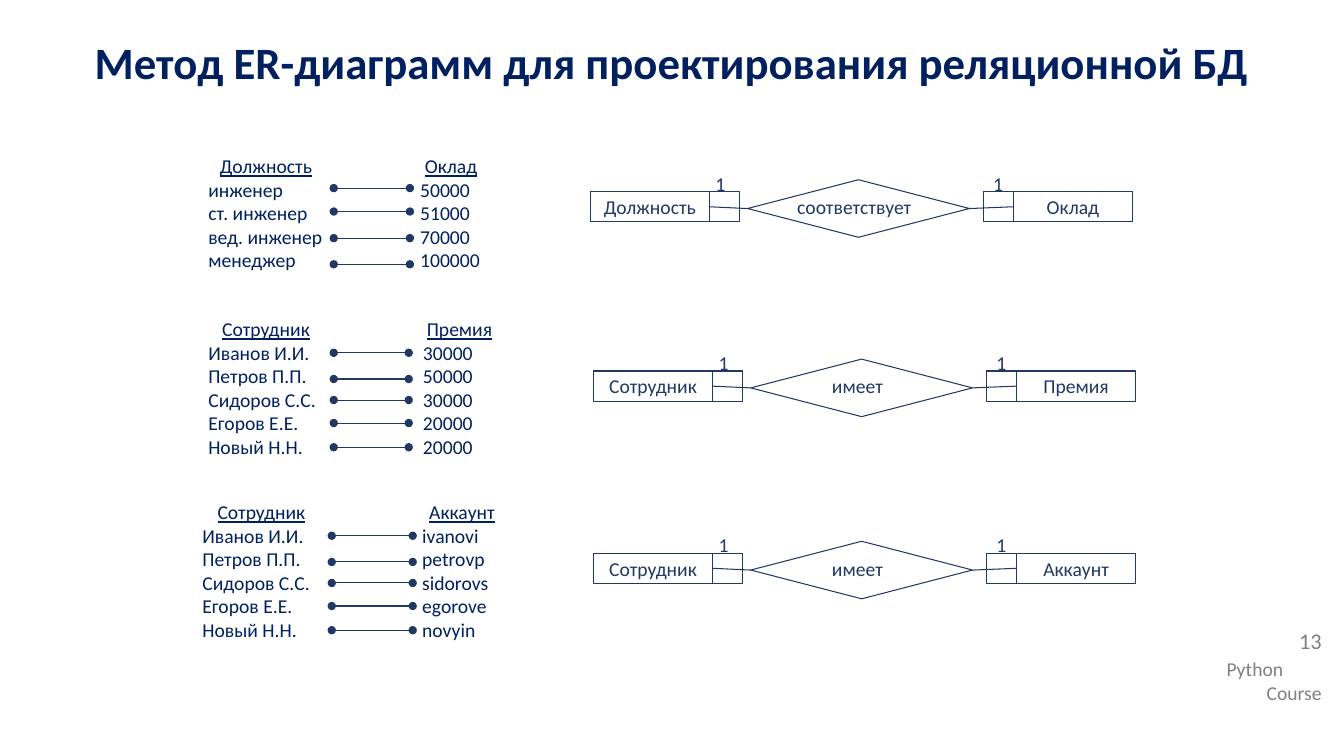
from dataclasses import dataclass

from lxml import etree
from pptx import Presentation
from pptx.dml.color import RGBColor
from pptx.enum.shapes import MSO_CONNECTOR, MSO_SHAPE
from pptx.enum.text import MSO_ANCHOR, PP_ALIGN
from pptx.oxml.ns import qn
from pptx.shapes.autoshape import Shape
from pptx.shapes.connector import Connector
from pptx.slide import Slide
from pptx.util import Cm, Pt

RECTANGLE = MSO_SHAPE.RECTANGLE
DIAMOND = MSO_SHAPE.DIAMOND
STRAIGHT = MSO_CONNECTOR.STRAIGHT
LEFT, CENTER, RIGHT = PP_ALIGN.LEFT, PP_ALIGN.CENTER, PP_ALIGN.RIGHT
TOP, MIDDLE = MSO_ANCHOR.TOP, MSO_ANCHOR.MIDDLE
LEFT_SIDE, RIGHT_SIDE = 1, 3

FONT = "Calibri"
COLORS = {"title": "002060", "line": "203864", "footer": "808080", "fill": "FFFFFF"}


@dataclass
class Box:
    left: float
    top: float
    width: float
    height: float


@dataclass
class Column:
    left: float
    width: float
    header: str
    values: list[str]


@dataclass
class Relation:
    top: float
    height: float
    source: Column
    target: Column
    link_start: float
    link_end: float
    link_offsets: tuple[float, ...]
    diagram_left: float
    diagram_top: float
    verb: str


EMPLOYEES = ["Иванов И.И.", "Петров П.П.", "Сидоров С.С.", "Егоров Е.Е.", "Новый Н.Н."]
FIVE_LINKS = (1.02, 1.68, 2.21, 2.79, 3.4)
RELATIONS = [
    Relation(
        3.76, 3.4,
        Column(5, 3.41, "Должность", ["инженер", "ст. инженер", "вед. инженер", "менеджер"]),
        Column(10.34, 2.06, "Оклад", ["50000", "51000", "70000", "100000"]),
        8.41, 10.33, (0.98, 1.57, 2.24, 2.9), 14.88, 4.83, "соответствует",
    ),
    Relation(
        7.87, 3.75,
        Column(5, 3.41, "Сотрудник", EMPLOYEES),
        Column(10.41, 2.34, "Премия", ["30000", "50000", "30000", "20000", "20000"]),
        8.41, 10.3, FIVE_LINKS, 14.96, 9.35, "имеет",
    ),
    Relation(
        12.48, 3.75,
        Column(4.85, 3.48, "Сотрудник", EMPLOYEES),
        Column(10.39, 2.51, "Аккаунт", ["ivanovi", "petrovp", "sidorovs", "egorove", "novyin"]),
        8.36, 10.4, FIVE_LINKS, 14.96, 13.94, "имеет",
    ),
]


def write(shape: Shape, lines: list[str], color: str, size: float = 14,
          alignment: PP_ALIGN = LEFT, anchor: MSO_ANCHOR = TOP) -> None:
    text_frame = shape.text_frame
    text_frame.text = "\n".join(lines)
    text_frame.word_wrap = True
    text_frame.vertical_anchor = anchor
    for paragraph in text_frame.paragraphs:
        paragraph.alignment = alignment
        for run in paragraph.runs:
            run.font.name = FONT
            run.font.size = Pt(size)
            run.font.color.rgb = RGBColor.from_string(COLORS[color])


def add_text(slide: Slide, box: Box, lines: list[str], color: str, size: float = 14,
             alignment: PP_ALIGN = LEFT, anchor: MSO_ANCHOR = TOP) -> Shape:
    shape = slide.shapes.add_textbox(Cm(box.left), Cm(box.top), Cm(box.width), Cm(box.height))
    write(shape, lines, color, size, alignment, anchor)
    return shape


def add_figure(slide: Slide, kind: MSO_SHAPE, box: Box, outlined: bool = True) -> Shape:
    shape = slide.shapes.add_shape(
        kind, Cm(box.left), Cm(box.top), Cm(box.width), Cm(box.height))
    shape.shadow.inherit = False
    shape.fill.solid()
    shape.fill.fore_color.rgb = RGBColor.from_string(COLORS["fill"])
    if outlined:
        shape.line.color.rgb = RGBColor.from_string(COLORS["line"])
        shape.line.width = Pt(0.75)
    else:
        shape.line.fill.background()
    return shape


def add_line(slide: Slide, start: float = 0, end: float = 0, y: float = 0) -> Connector:
    connector = slide.shapes.add_connector(STRAIGHT, Cm(start), Cm(y), Cm(end), Cm(y))
    connector.line.color.rgb = RGBColor.from_string(COLORS["line"])
    connector.line.width = Pt(0.75)
    etree.SubElement(connector._element.spPr, qn("a:effectLst"))
    return connector


def add_link(slide: Slide, start: float, end: float, y: float) -> None:
    line = add_line(slide, start, end, y).line._get_or_add_ln()
    for tag in ("a:headEnd", "a:tailEnd"):
        etree.SubElement(line, qn(tag), type="oval")


def add_column(slide: Slide, column: Column, top: float, height: float) -> None:
    shape = add_figure(slide, RECTANGLE, Box(column.left, top, column.width, height), False)
    write(shape, [column.header, *column.values], "title")
    header = shape.text_frame.paragraphs[0]
    header.alignment = CENTER
    header.runs[0].font.underline = True


def add_mapping(slide: Slide, relation: Relation) -> None:
    for column in (relation.target, relation.source):
        add_column(slide, column, relation.top, relation.height)
    for offset in relation.link_offsets:
        add_link(slide, relation.link_start, relation.link_end, relation.top + offset)


def add_diagram(slide: Slide, relation: Relation) -> None:
    left, top = relation.diagram_left, relation.diagram_top
    for offset, column in ((0, relation.source), (10.66, relation.target)):
        entity = add_figure(slide, RECTANGLE, Box(left + offset, top, 3, 0.76))
        write(entity, [column.header], "line", alignment=CENTER, anchor=MIDDLE)
    for offset in (2.9, 9.9):
        add_text(slide, Box(left + offset, top - 0.63, 0.95, 0.85), ["1"], "line")
    diamond = add_figure(slide, DIAMOND, Box(left + 3.96, top - 0.3, 5.59, 1.45))
    add_text(slide, Box(left + 4.95, top - 0.05, 3.4, 0.86), [relation.verb],
             "line", alignment=CENTER, anchor=MIDDLE)
    for offset, side in ((2.99, LEFT_SIDE), (9.9, RIGHT_SIDE)):
        square = add_figure(slide, RECTANGLE, Box(left + offset, top, 0.76, 0.76))
        connector = add_line(slide)
        connector.begin_connect(square, side)
        connector.end_connect(diamond, side)


def main() -> None:
    presentation = Presentation()
    presentation.slide_width = Cm(33.87)
    presentation.slide_height = Cm(19.05)
    slide = presentation.slides.add_slide(presentation.slide_layouts[6])

    course = add_text(slide, Box(30.66, 16.43, 2.9, 1.45), ["Python", "Course"], "footer")
    course.text_frame.paragraphs[1].alignment = RIGHT
    number = add_text(slide, Box(30.66, 15.75, 2.9, 1.14), ["13"], "footer", 16, RIGHT)
    number.text_frame.paragraphs[0].line_spacing = 0.9
    title = add_text(slide, Box(0, 0.58, 33.87, 1.93),
                     ["Метод ER-диаграмм для проектирования реляционной БД"],
                     "title", 32, CENTER, MIDDLE)
    title.text_frame.paragraphs[0].space_after = Pt(5)
    title.text_frame.paragraphs[0].runs[0].font.bold = True

    for relation in RELATIONS:
        add_mapping(slide, relation)
        add_diagram(slide, relation)
    presentation.save("out.pptx")


if __name__ == "__main__":
    main()
